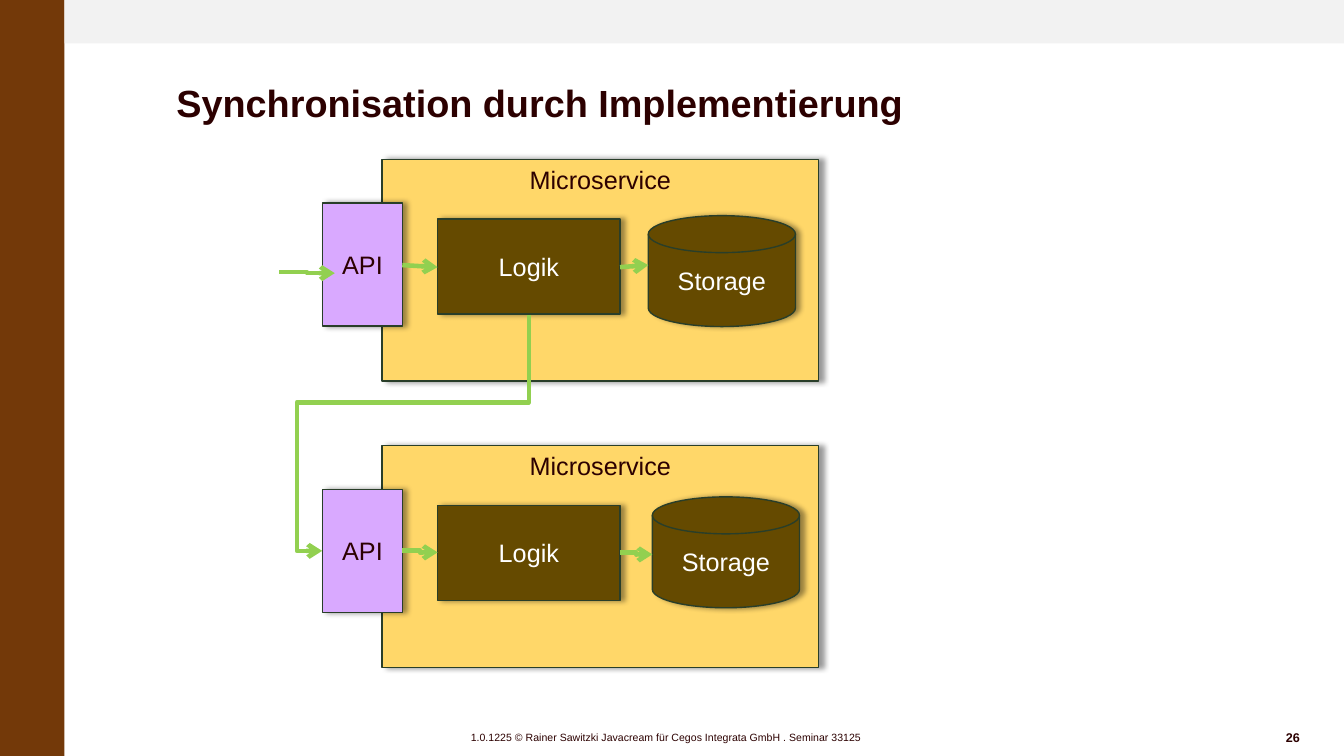
from lxml import etree
from pptx import Presentation
from pptx.dml.color import RGBColor
from pptx.enum.shapes import MSO_CONNECTOR as Connector, MSO_SHAPE as Shape
from pptx.enum.text import MSO_ANCHOR as Anchor, PP_ALIGN as Align
from pptx.oxml import parse_xml
from pptx.oxml.ns import nsdecls, qn
from pptx.util import Inches, Pt

BROWN = RGBColor(0x73, 0x39, 0x09)
LIGHT_GREY = RGBColor(0xF2, 0xF2, 0xF2)
DARK_RED = RGBColor(0x2C, 0x00, 0x00)
WHITE = RGBColor(0xFF, 0xFF, 0xFF)
YELLOW = RGBColor(0xFF, 0xD7, 0x69)
VIOLET = RGBColor(0xD9, 0xA9, 0xFF)
OLIVE = RGBColor(0x65, 0x4A, 0x00)
OUTLINE = RGBColor(0x29, 0x3E, 0x29)
GREEN = RGBColor(0x92, 0xD0, 0x50)

SHADOW = (f'<a:outerShdw {nsdecls("a")} blurRad="{Pt(4)}" dist="{Pt(3)}" dir="0" rotWithShape="0">'
          '<a:srgbClr val="000000"><a:alpha val="40000"/></a:srgbClr></a:outerShdw>')

presentation = Presentation()
presentation.slide_width = Inches(13.33)
presentation.slide_height = Inches(7.5)
slide = presentation.slides.add_slide(presentation.slide_layouts[6])


def write(shape, text, size, color, bold=False, align=Align.LEFT, **frame_format):
    frame = shape.text_frame
    for name, value in frame_format.items():
        setattr(frame, name, value)
    paragraph = frame.paragraphs[0]
    paragraph.text = text
    paragraph.alignment = align
    font = paragraph.runs[0].font
    for name, value in {"name": "Arial", "size": Pt(size), "bold": bold}.items():
        setattr(font, name, value)
    font.color.rgb = color
    return paragraph


def add_arrow(kind, *ends):
    arrow = slide.shapes.add_connector(kind, *map(Inches, ends))
    arrow.line.color.rgb = GREEN
    arrow.line.width = Pt(3.25)
    etree.SubElement(arrow.line._get_or_add_ln(), qn("a:tailEnd"), type="arrow")
    etree.SubElement(arrow._element.spPr, qn("a:effectLst"))
    return arrow


# Side and top bars
for box, color in (((0, 0, 0.64, 7.5), BROWN), ((0.64, 0, 12.69, 0.43), LIGHT_GREY)):
    bar = slide.shapes.add_shape(Shape.RECTANGLE, *map(Inches, box))
    bar.shadow.inherit = False
    bar.fill.solid()
    bar.fill.fore_color.rgb = color
    bar.line.fill.background()

# Title, footer and page number
title = slide.shapes.add_textbox(*map(Inches, (1.63, 0.77, 11.37, 0.59)))
heading = write(title, "Synchronisation durch Implementierung", 27, DARK_RED, bold=True,
                word_wrap=True, vertical_anchor=Anchor.BOTTOM,
                margin_left=Inches(0.12), margin_top=Inches(0.12),
                margin_right=0, margin_bottom=Inches(0.12))
heading.line_spacing = Pt(25)

footer = slide.shapes.add_textbox(*map(Inches, (4.67, 7.25, 4.33, 0.13)))
write(footer, "1.0.1225 © Rainer Sawitzki Javacream für Cegos Integrata GmbH . Seminar 33125",
      7.5, DARK_RED, word_wrap=True, vertical_anchor=Anchor.MIDDLE,
      margin_left=0, margin_top=0, margin_right=Inches(0.04), margin_bottom=0)

page_number = slide.shapes.add_textbox(*map(Inches, (12.29, 7.2, 0.7, 0.23)))
write(page_number, "26", 9, DARK_RED, bold=True, align=Align.RIGHT,
      word_wrap=True, vertical_anchor=Anchor.MIDDLE)

# Two microservices; the storage sits slightly differently in each
for top, storage_left, storage_offset in ((1.58, 6.43, 0.56), (4.42, 6.47, 0.51)):
    parts = (
        ("Microservice", Shape.RECTANGLE, 3.79, 0, 4.33, 2.2, YELLOW, DARK_RED, Anchor.TOP),
        ("API", Shape.RECTANGLE, 3.2, 0.435, 0.79, 1.22, VIOLET, DARK_RED, Anchor.MIDDLE),
        ("Storage", Shape.FLOWCHART_MAGNETIC_DISK, storage_left, storage_offset, 1.46, 1.1,
         OLIVE, WHITE, Anchor.MIDDLE),
        ("Logik", Shape.RECTANGLE, 4.34, 0.595, 1.81, 0.94, OLIVE, WHITE, Anchor.MIDDLE),
    )
    for label, kind, left, offset, width, height, fill, text_color, anchor in parts:
        part = slide.shapes.add_shape(kind, *map(Inches, (left, top + offset, width, height)))
        part.fill.solid()
        part.fill.fore_color.rgb = fill
        part.line.color.rgb = OUTLINE
        part.line.width = Pt(1)
        part.shadow.inherit = False
        part._element.spPr.find(qn("a:effectLst")).append(parse_xml(SHADOW))
        write(part, label, 18, text_color, align=Align.CENTER,
              word_wrap=True, vertical_anchor=anchor)

# Arrows into and within the microservices
for kind, *ends in (
    (Connector.ELBOW, 2.77, 2.7, 3.32, 2.71),
    (Connector.STRAIGHT, 3.99, 2.63, 4.34, 2.65),
    (Connector.STRAIGHT, 6.15, 2.65, 6.43, 2.63),
    (Connector.ELBOW, 3.99, 5.46, 4.34, 5.48),
    (Connector.ELBOW, 6.15, 5.48, 6.47, 5.5),
):
    add_arrow(kind, *ends)

# Call from the upper logic to the lower API: a turned elbow with three bends
call = add_arrow(Connector.ELBOW, 3.05, 3.27, 5.39, 5.32)
properties = call._element.spPr
properties.find(qn("a:xfrm")).set("rot", "5400000")
geometry = properties.find(qn("a:prstGeom"))
geometry.set("prst", "bentConnector4")
adjustments = geometry.find(qn("a:avLst"))
for name, value in (("adj1", 37000), ("adj2", 112200)):
    etree.SubElement(adjustments, qn("a:gd"), name=name, fmla=f"val {value}")

presentation.save("out.pptx")
